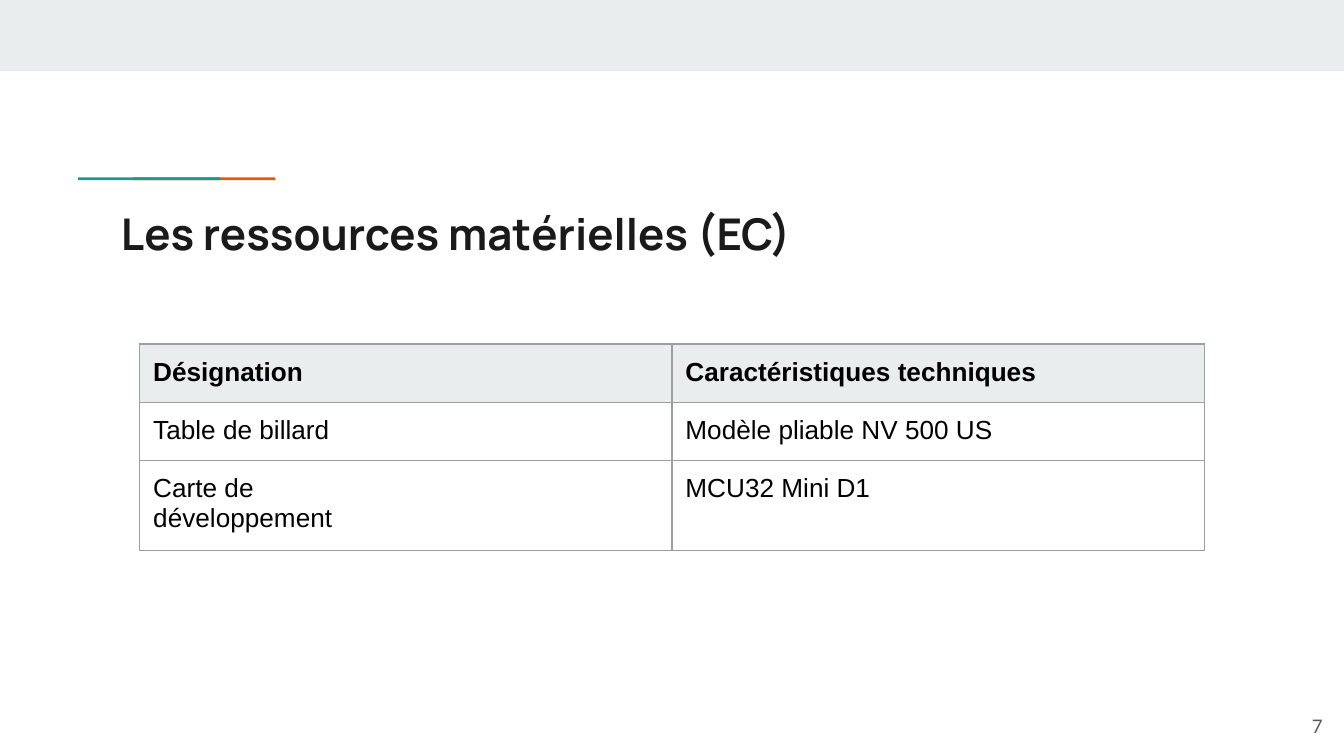
from lxml import etree
from pptx import Presentation
from pptx.dml.color import RGBColor
from pptx.enum import shapes, text
from pptx.oxml import ns
from pptx.util import Inches, Pt

TITLE = "Les ressources matérielles (EC)"
NUMBER = "7"
ROWS = [
    ("Désignation", "Caractéristiques techniques"),
    ("Table de billard", "Modèle pliable NV 500 US"),
    ("Carte de\ndéveloppement", "MCU32 Mini D1"),
]
ROW_HEIGHT = 0.42
COL_WIDTH = 3.96
WIDTH = 10
HEIGHT = WIDTH * 9 / 16
INSET = 0.1

BAND = RGBColor(0xE9, 0xED, 0xEE)
ORANGE = RGBColor(0xEB, 0x56, 0x00)
TEAL = RGBColor(0x1A, 0x99, 0x88)
INK = RGBColor(0x1A, 0x1A, 0x1A)
GREY = RGBColor(0x59, 0x59, 0x59)
BLACK = RGBColor(0, 0, 0)
BORDER = RGBColor(0x9E, 0x9E, 0x9E)

BARS = [
    (0, 0, WIDTH, 0.53, BAND),
    (0.99, 1.32, 1.06, 0.02, ORANGE),
    (0.58, 1.32, 1.06, 0.02, TEAL),
]


def add_bar(slide, x, y, w, h, color):
    sp = slide.shapes.add_shape(shapes.MSO_SHAPE.RECTANGLE, *map(Inches, (x, y, w, h)))
    sp.shadow.inherit = False
    sp.fill.solid()
    sp.fill.fore_color.rgb = color
    sp.line.fill.background()


def set_margins(box):
    box.margin_left = box.margin_right = Inches(INSET)
    box.margin_top = box.margin_bottom = Inches(INSET)


def write(tf, content, font, size, color, bold=False, align=text.PP_ALIGN.LEFT):
    tf.text = content
    tf.word_wrap = True
    for p in tf.paragraphs:
        p.alignment = align
        for r in p.runs:
            r.font.name = font
            r.font.size = Pt(size)
            r.font.bold = bold
            r.font.color.rgb = color


def add_borders(cell):
    pr = cell._tc.get_or_add_tcPr()
    for i, side in enumerate(("lnL", "lnR", "lnT", "lnB")):
        ln = etree.Element(ns.qn(f"a:{side}"), w=str(Pt(0.75)))
        fill = etree.SubElement(ln, ns.qn("a:solidFill"))
        etree.SubElement(fill, ns.qn("a:srgbClr"), val=str(BORDER))
        pr.insert(i, ln)


def add_grid(slide, x, y):
    frame = slide.shapes.add_table(
        len(ROWS), len(ROWS[0]), Inches(x), Inches(y),
        Inches(COL_WIDTH * len(ROWS[0])), Inches(ROW_HEIGHT * len(ROWS)))
    table = frame.table
    table.horz_banding = False
    for col in table.columns:
        col.width = Inches(COL_WIDTH)
    for i, row in enumerate(ROWS):
        table.rows[i].height = Inches(ROW_HEIGHT)
        for j, content in enumerate(row):
            cell = table.cell(i, j)
            set_margins(cell)
            write(cell.text_frame, content, "Arial", 14, BLACK, bold=i == 0)
            if i == 0:
                cell.fill.solid()
                cell.fill.fore_color.rgb = BAND
            else:
                cell.fill.background()
            add_borders(cell)


def main():
    prs = Presentation()
    prs.slide_width, prs.slide_height = Inches(WIDTH), Inches(HEIGHT)
    slide = prs.slides.add_slide(prs.slide_layouts[5])

    for bar in BARS:
        add_bar(slide, *bar)

    title = slide.shapes.title
    title.left, title.top, title.width, title.height = map(Inches, (0.8, 1.44, 8.41, 0.59))
    tf = title.text_frame
    set_margins(tf)
    tf.auto_size = text.MSO_AUTO_SIZE.NONE
    tf.vertical_anchor = text.MSO_ANCHOR.TOP
    write(tf, TITLE, "Manrope", 23.4, INK, bold=True)

    number = slide.shapes.add_textbox(*map(Inches, (9.34, 5.19, 0.6, 0.43)))
    tf = number.text_frame
    set_margins(tf)
    tf.vertical_anchor = text.MSO_ANCHOR.MIDDLE
    write(tf, NUMBER, "Lato", 10, GREY, align=text.PP_ALIGN.RIGHT)

    add_grid(slide, (WIDTH - COL_WIDTH * len(ROWS[0])) / 2, 2.56)
    prs.save("out.pptx")


if __name__ == "__main__":
    main()
